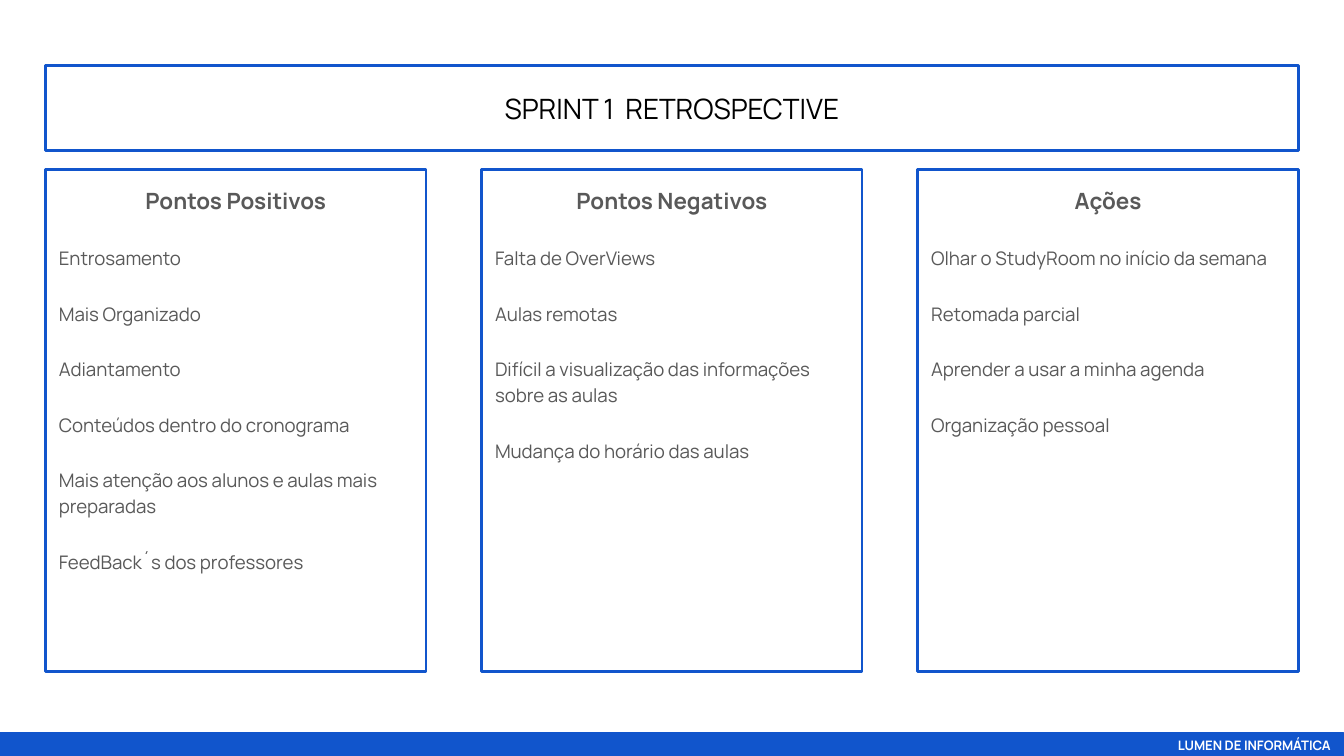
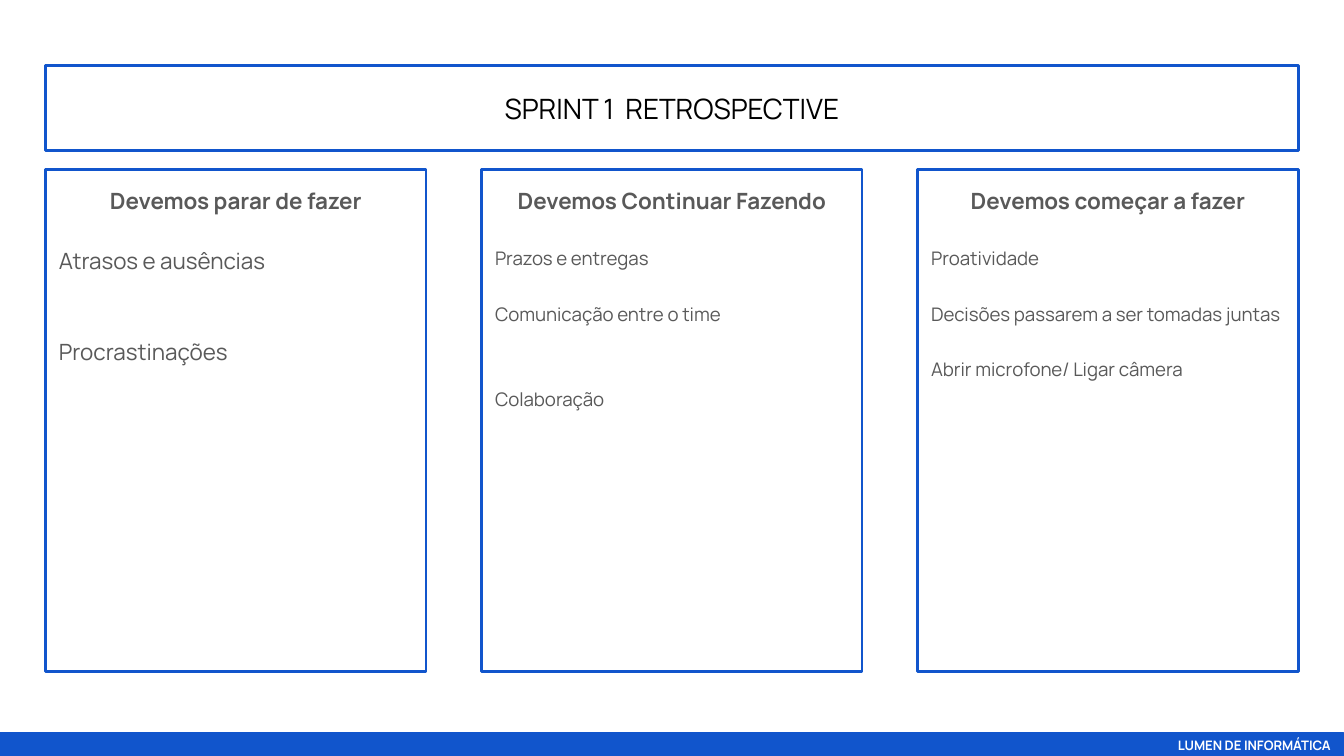
from pptx import Presentation, util as u
from pptx.dml.color import RGBColor
from pptx.enum import shapes, text

PX = 4572
BLUE = RGBColor(0x11, 0x55, 0xCC)
BLACK = RGBColor(0, 0, 0)
GRAY = RGBColor(0x59, 0x59, 0x59)
WHITE = RGBColor(0xFF, 0xFF, 0xFF)
LEFT, PITCH, COLUMN_WIDTH = 68, 649, 566
GAP = u.Pt(16)

retrospectives = [
    [
        ("Pontos Positivos", 10, [
            "Entrosamento",
            "Mais Organizado",
            "Adiantamento",
            "Conteúdos dentro do cronograma",
            "Mais atenção aos alunos e aulas mais preparadas",
            "FeedBack´s dos professores",
        ], []),
        ("Pontos Negativos", 10, [
            "Falta de OverViews",
            "Aulas remotas",
            "Difícil a visualização das informações sobre as aulas",
            "Mudança do horário das aulas",
        ], []),
        ("Ações", 10, [
            "Olhar o StudyRoom no início da semana",
            "Retomada parcial",
            "Aprender a usar a minha agenda",
            "Organização pessoal",
        ], ["Organização pessoal"]),
    ],
    [
        ("Devemos parar de fazer", 12, [
            "Atrasos e ausências",
            "Procrastinações",
        ], ["Atrasos e ausências", "Procrastinações"]),
        ("Devemos Continuar Fazendo", 10, [
            "Prazos e entregas",
            "Comunicação entre o time",
            "Colaboração",
        ], ["Comunicação entre o time", "Colaboração"]),
        ("Devemos começar a fazer", 10, [
            "Proatividade",
            "Decisões passarem a ser tomadas juntas",
            "Abrir microfone/ Ligar câmera",
        ], []),
    ],
]


def frame(box, anchor):
    box.line.color.rgb = BLUE
    box.line.width = u.Pt(1.5)
    content = box.text_frame
    content.word_wrap = True
    content.auto_size = text.MSO_AUTO_SIZE.NONE
    content.vertical_anchor = anchor
    content.margin_left = content.margin_right = 20 * PX
    content.margin_top = content.margin_bottom = 20 * PX
    return content


def write(paragraph, words, size, color, align, bold=False):
    paragraph.text = words
    paragraph.alignment = align
    paragraph.font.name = "Manrope"
    paragraph.font.size = u.Pt(size)
    paragraph.font.color.rgb = color
    paragraph.font.bold = bold


deck = Presentation()
deck.slide_width, deck.slide_height = 2000 * PX, 1125 * PX

for columns in retrospectives:
    slide = deck.slides.add_slide(deck.slide_layouts[5])

    title = slide.shapes.title
    title.left, title.top = LEFT * PX, 98 * PX
    title.width, title.height = 1864 * PX, 126 * PX
    heading = frame(title, text.MSO_ANCHOR.MIDDLE)
    write(heading.paragraphs[0], "SPRINT 1  RETROSPECTIVE", 15, BLACK, text.PP_ALIGN.CENTER)

    for index, (topic, size, points, spaced_points) in enumerate(columns):
        column = slide.shapes.add_shape(
            shapes.MSO_SHAPE.RECTANGLE,
            (LEFT + index * PITCH) * PX, 252 * PX, COLUMN_WIDTH * PX, 748 * PX)
        column.shadow.inherit = False
        column.fill.background()
        body = frame(column, text.MSO_ANCHOR.TOP)
        write(body.paragraphs[0], topic, 12, GRAY, text.PP_ALIGN.CENTER, True)
        body.paragraphs[0].line_spacing = 1.15
        for point in points:
            paragraph = body.add_paragraph()
            write(paragraph, point, size, GRAY, text.PP_ALIGN.LEFT)
            paragraph.line_spacing = 1.15
            paragraph.space_before = GAP
            if point in spaced_points:
                paragraph.space_after = GAP

    footer = slide.shapes.add_shape(
        shapes.MSO_SHAPE.RECTANGLE, 0, 1092 * PX, 2000 * PX, 33 * PX)
    footer.shadow.inherit = False
    footer.fill.solid()
    footer.fill.fore_color.rgb = BLUE
    credit = frame(footer, text.MSO_ANCHOR.MIDDLE)
    write(credit.paragraphs[0], "LUMEN DE INFORMÁTICA", 7, WHITE, text.PP_ALIGN.RIGHT, True)

deck.save("out.pptx")
